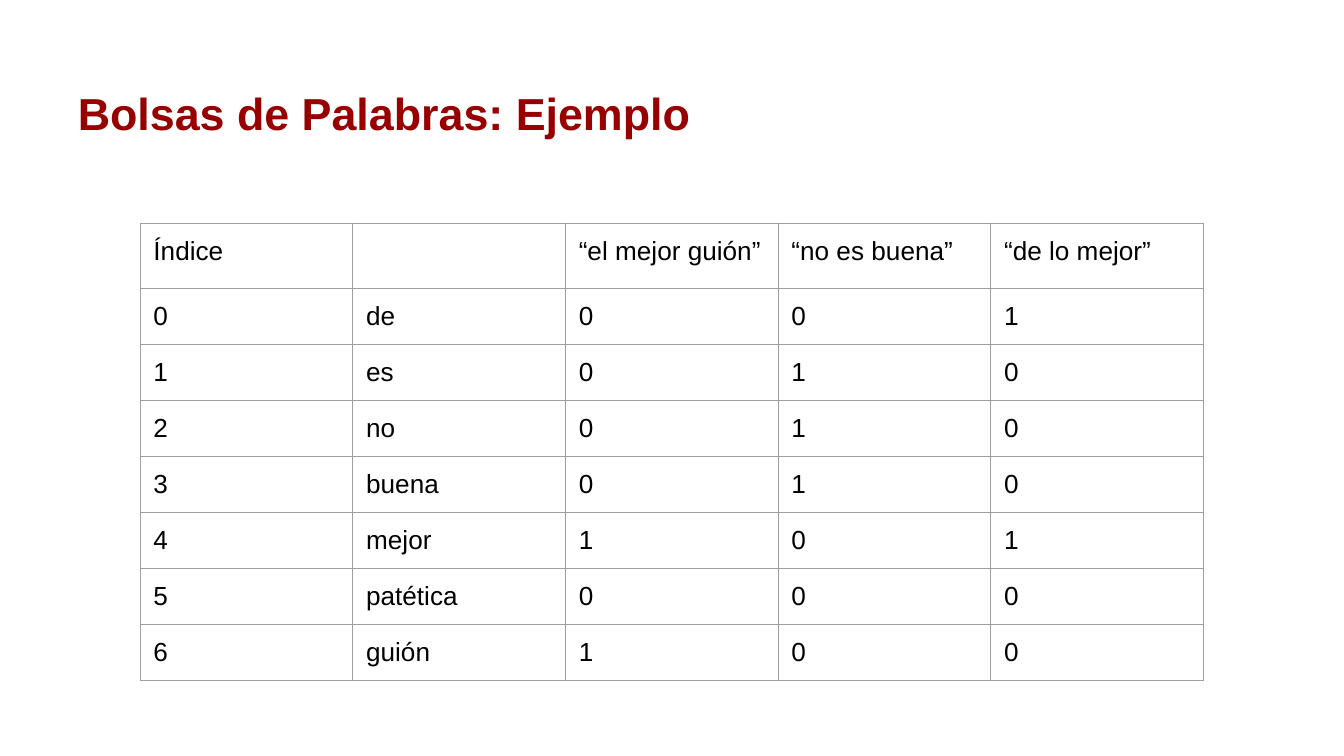
from lxml import etree
from pptx import Presentation
from pptx.dml.color import RGBColor
from pptx.enum.text import MSO_ANCHOR, MSO_AUTO_SIZE, PP_ALIGN
from pptx.oxml.ns import qn
from pptx.util import Cm, Pt

TOP = MSO_ANCHOR.TOP
NO_AUTOFIT = MSO_AUTO_SIZE.NONE
LEFT = PP_ALIGN.LEFT

DARK_RED = RGBColor(0x98, 0x00, 0x00)
BLACK = RGBColor(0x00, 0x00, 0x00)
GRAY = RGBColor(0x9E, 0x9E, 0x9E)

FONT = "Arial"
TITLE_ONLY_LAYOUT = 5
INSET = Cm(0.25)
COLUMN_WIDTH = Cm(4.02)
HEADER_HEIGHT = Cm(1.23)
ROW_HEIGHT = Cm(1.06)
BORDER_WIDTH = Pt(0.75)

PHRASES = ["el mejor guión", "no es buena", "de lo mejor"]
VOCABULARY = ["de", "es", "no", "buena", "mejor", "patética", "guión"]


def style_font(font, size, color, bold=False):
    font.name = FONT
    font.size = Pt(size)
    font.bold = bold
    font.color.rgb = color


def add_title(slide, text):
    title = slide.shapes.title
    title.left, title.top = Cm(1.22), Cm(0.74)
    title.width, title.height = Cm(21.03), Cm(12.8)
    frame = title.text_frame
    frame.text = text
    frame.word_wrap = True
    frame.auto_size = NO_AUTOFIT
    frame.vertical_anchor = TOP
    frame.margin_left = frame.margin_right = frame.margin_bottom = INSET
    frame.margin_top = Cm(0.37)
    paragraph = frame.paragraphs[0]
    paragraph.alignment = LEFT
    paragraph.line_spacing = 1.5
    style_font(paragraph.font, 24, DARK_RED, bold=True)


def set_borders(cell):
    properties = cell._tc.get_or_add_tcPr()
    for position, side in enumerate(("a:lnL", "a:lnR", "a:lnT", "a:lnB")):
        line = etree.Element(qn(side), w=str(BORDER_WIDTH))
        fill = etree.SubElement(line, qn("a:solidFill"))
        etree.SubElement(fill, qn("a:srgbClr"), val=str(GRAY))
        properties.insert(position, line)


def fill_cell(cell, text):
    cell.text = text
    cell.fill.background()
    cell.vertical_anchor = TOP
    cell.margin_left = cell.margin_right = INSET
    cell.margin_top = cell.margin_bottom = INSET
    style_font(cell.text_frame.paragraphs[0].font, 14, BLACK)
    set_borders(cell)


def word_bag_rows():
    rows = [["Índice", ""] + [f"“{phrase}”" for phrase in PHRASES]]
    for index, word in enumerate(VOCABULARY):
        counts = [str(phrase.split().count(word)) for phrase in PHRASES]
        rows.append([str(index), word] + counts)
    return rows


def add_word_table(slide, rows):
    column_count = len(rows[0])
    height = HEADER_HEIGHT + ROW_HEIGHT * (len(rows) - 1)
    table = slide.shapes.add_table(
        len(rows), column_count, Cm(2.65), Cm(4.22),
        COLUMN_WIDTH * column_count, height).table
    table.first_row = False
    table.horz_banding = False
    for column in table.columns:
        column.width = COLUMN_WIDTH
    for row_index, texts in enumerate(rows):
        table.rows[row_index].height = ROW_HEIGHT if row_index else HEADER_HEIGHT
        for column_index, text in enumerate(texts):
            fill_cell(table.cell(row_index, column_index), text)


def main():
    presentation = Presentation()
    presentation.slide_width = Cm(25.4)
    presentation.slide_height = Cm(14.29)
    layout = presentation.slide_layouts[TITLE_ONLY_LAYOUT]
    slide = presentation.slides.add_slide(layout)
    add_title(slide, "Bolsas de Palabras: Ejemplo")
    add_word_table(slide, word_bag_rows())
    presentation.save("out.pptx")


if __name__ == "__main__":
    main()
